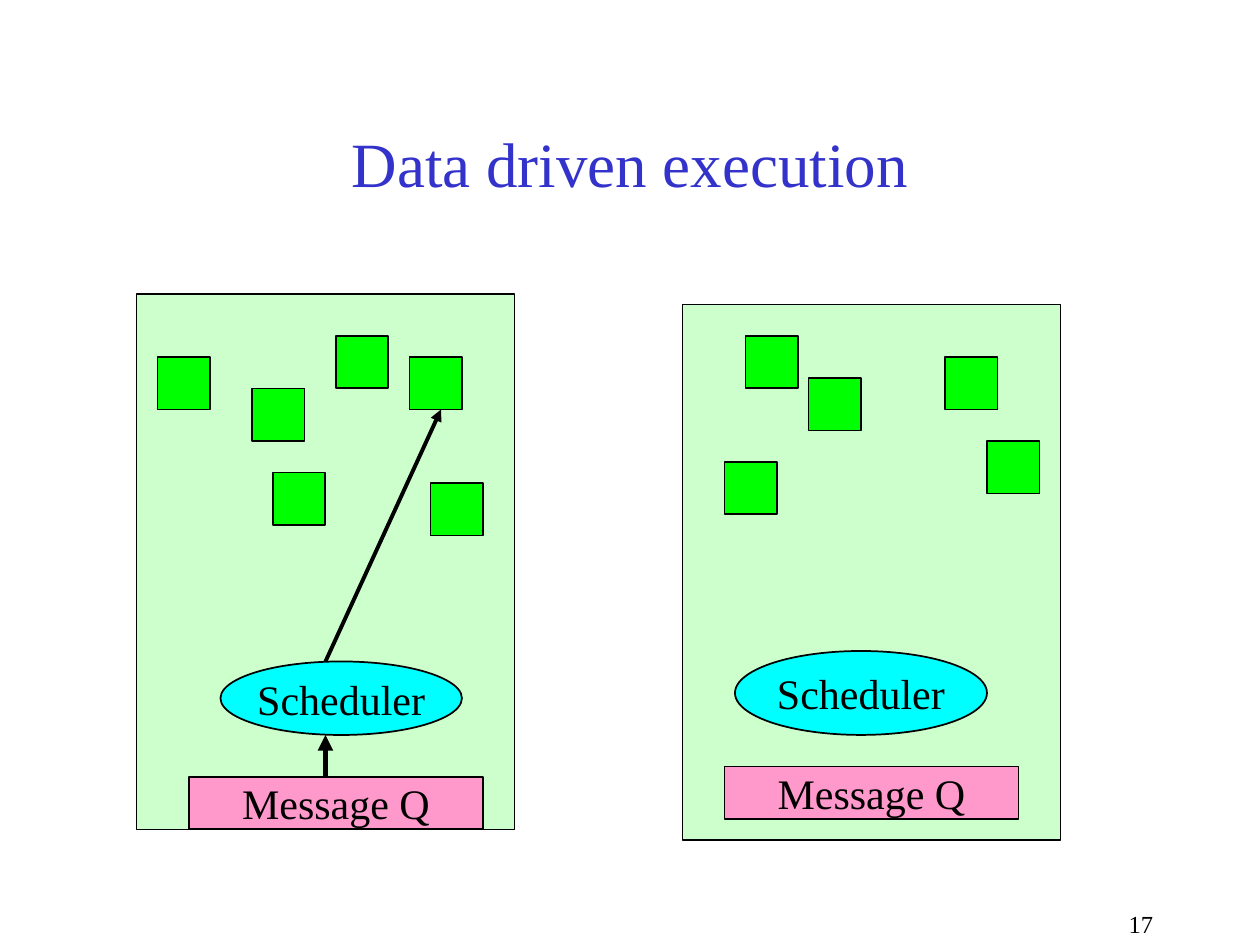
from lxml import etree
from pptx import Presentation
from pptx import util as u
from pptx.dml.color import RGBColor
from pptx.enum import shapes, text
from pptx.oxml.ns import qn

PX = u.Inches(1) // 120
FONT = "Times New Roman"
BLACK = RGBColor(0x00, 0x00, 0x00)
TITLE_BLUE = RGBColor(0x33, 0x33, 0xCC)
PALE_GREEN = RGBColor(0xCC, 0xFF, 0xCC)
GREEN = RGBColor(0x00, 0xFF, 0x00)
CYAN = RGBColor(0x00, 0xFF, 0xFF)
PINK = RGBColor(0xFF, 0x99, 0xCC)

RECTANGLE = shapes.MSO_SHAPE.RECTANGLE
OVAL = shapes.MSO_SHAPE.OVAL
OBJECT_SIZE = 50


def emu(*lengths):
    return [length * PX for length in lengths]


def write(shape, words, size, color=BLACK, align=text.PP_ALIGN.CENTER,
          anchor=text.MSO_ANCHOR.MIDDLE, wrap=True):
    frame = shape.text_frame
    frame.word_wrap = wrap
    frame.auto_size = text.MSO_AUTO_SIZE.NONE
    frame.vertical_anchor = anchor
    paragraph = frame.paragraphs[0]
    paragraph.alignment = align
    run = paragraph.add_run()
    run.text = words
    run.font.name = FONT
    run.font.size = u.Pt(size)
    run.font.color.rgb = color


def add_block(slide, kind, box, fill, words=None):
    shape = slide.shapes.add_shape(kind, *emu(*box))
    shape.shadow.inherit = False
    shape.fill.solid()
    shape.fill.fore_color.rgb = fill
    shape.line.color.rgb = BLACK
    shape.line.width = u.Pt(1)
    if words:
        write(shape, words, 24, wrap=False)


def add_arrow(slide, start, end, width):
    arrow = slide.shapes.add_connector(
        shapes.MSO_CONNECTOR.STRAIGHT, *emu(*start, *end))
    arrow.line.color.rgb = BLACK
    arrow.line.width = u.Pt(width)
    etree.SubElement(arrow.line._get_or_add_ln(), qn("a:tailEnd"), type="triangle")
    etree.SubElement(arrow._element.spPr, qn("a:effectLst"))


def add_title(slide, box, words):
    title = slide.shapes.title
    title.left, title.top, title.width, title.height = emu(*box)
    write(title, words, 36, color=TITLE_BLUE)


def add_processor(slide, box, scheduler, queue, objects, arrows=()):
    """Draw one processor; its parts are given relative to the box."""
    left, top = box[:2]

    def shift(x, y, *size):
        return (left + x, top + y, *size)

    add_block(slide, RECTANGLE, box, PALE_GREEN)
    add_block(slide, OVAL, shift(*scheduler), CYAN, "Scheduler")
    add_block(slide, RECTANGLE, shift(*queue), PINK, "Message Q")
    for x, y in objects:
        add_block(slide, RECTANGLE, shift(x, y, OBJECT_SIZE, OBJECT_SIZE), GREEN)
    for start, end, width in arrows:
        add_arrow(slide, shift(*start), shift(*end), width)


def add_page_number(slide, box, number):
    page_box = slide.shapes.add_textbox(*emu(*box))
    write(page_box, number, 14, align=text.PP_ALIGN.RIGHT,
          anchor=text.MSO_ANCHOR.TOP)


def main():
    presentation = Presentation()
    presentation.slide_width, presentation.slide_height = emu(1200, 900)
    slide = presentation.slides.add_slide(
        presentation.slide_layouts.get_by_name("Title Only"))

    add_title(slide, (90, 80, 1020, 150), "Data driven execution")
    add_processor(
        slide, (130, 280, 360, 510),
        scheduler=(80, 350, 230, 70), queue=(50, 460, 280, 50),
        objects=[(20, 60), (130, 170), (190, 40), (280, 180), (260, 60), (110, 90)],
        arrows=[((180, 460), (180, 420), 3), ((180, 350), (290, 110), 2.25)])
    add_processor(
        slide, (650, 290, 360, 510),
        scheduler=(50, 330, 240, 80), queue=(40, 440, 280, 50),
        objects=[(120, 70), (290, 130), (250, 50), (60, 30), (40, 150)])
    add_page_number(slide, (890, 860, 220, 40), "17")

    presentation.save("out.pptx")


if __name__ == "__main__":
    main()
